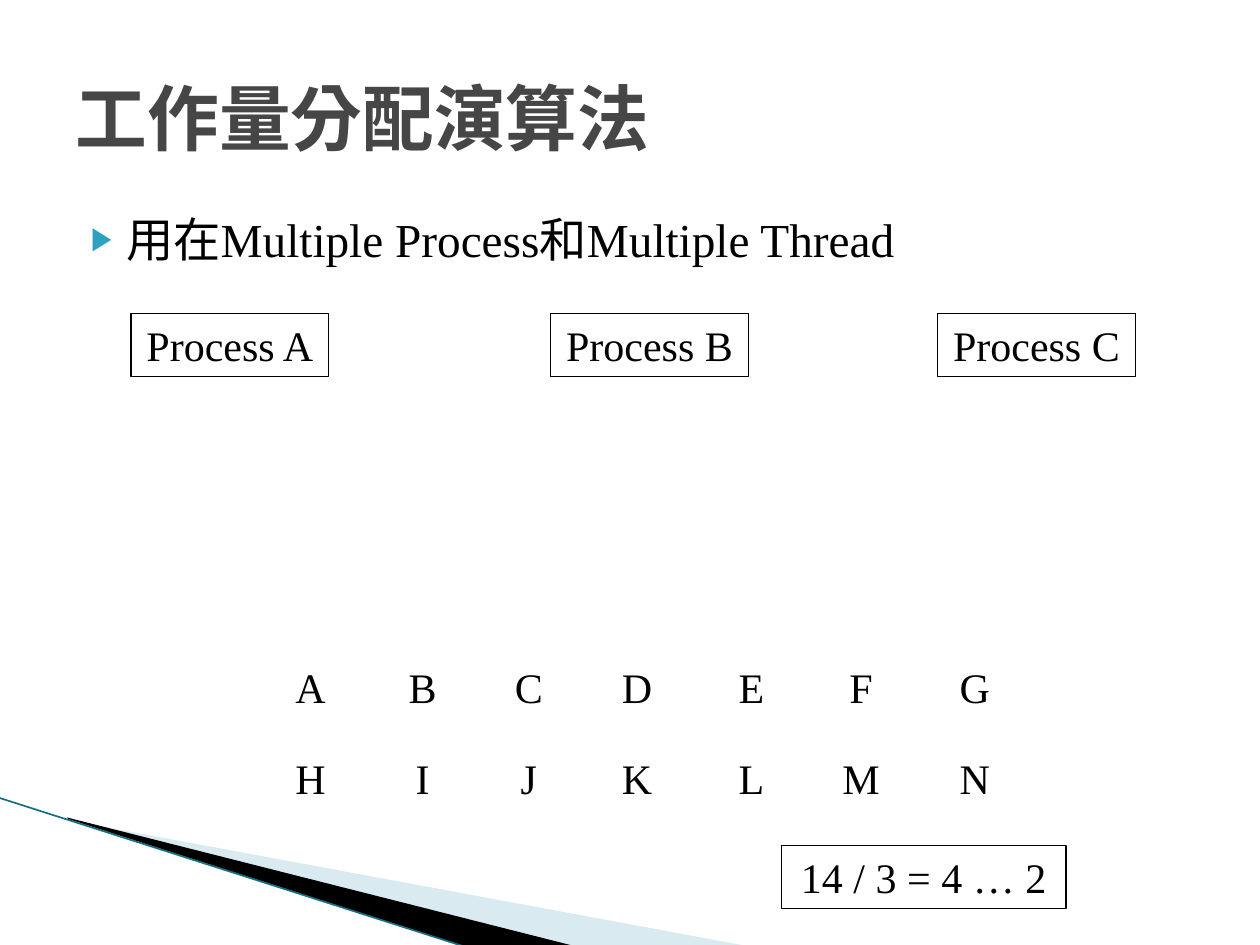
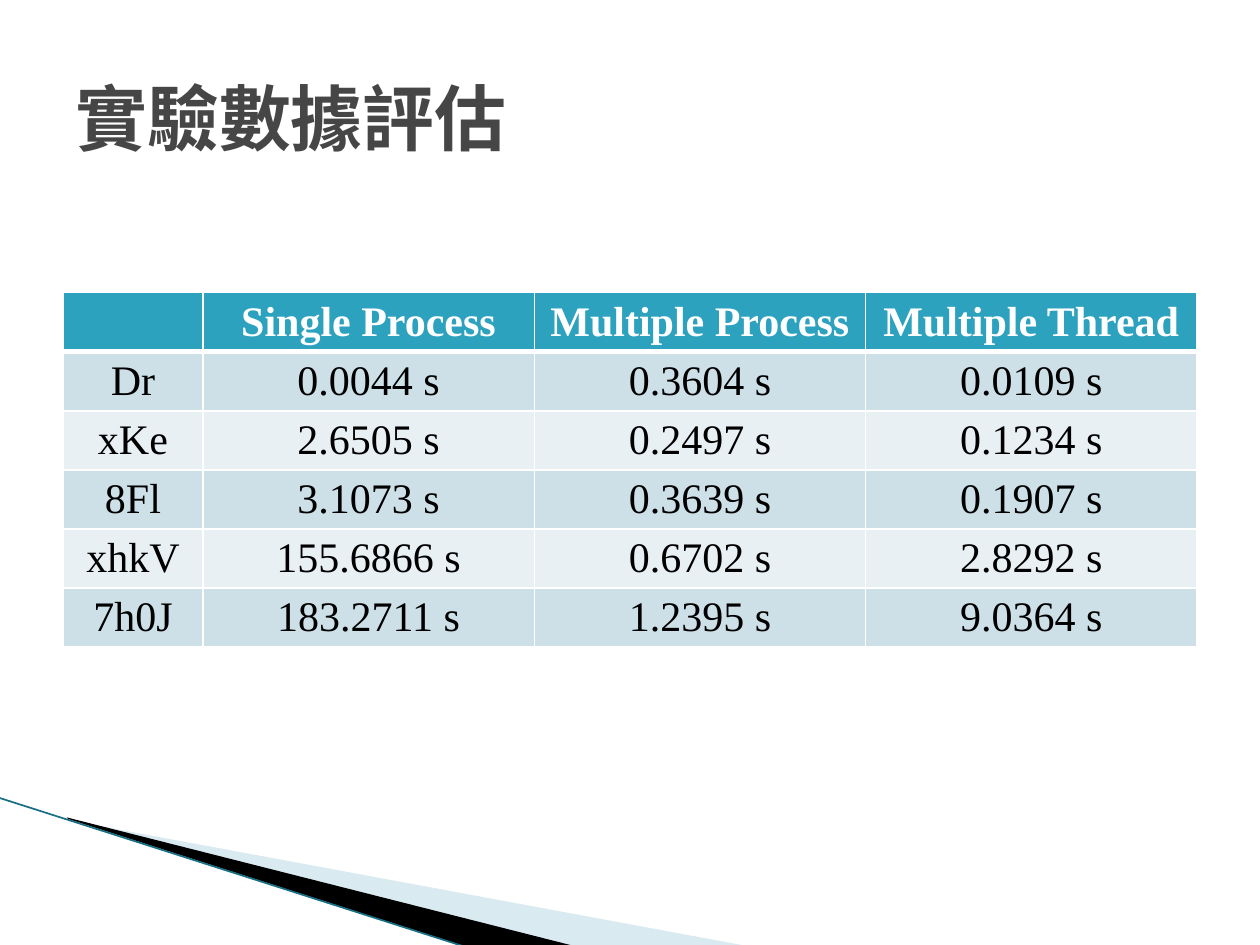
from lxml import etree
from pptx import Presentation
from pptx.dml.color import RGBColor
from pptx.enum import shapes, text
from pptx.oxml import ns
from pptx.util import Cm, Pt

# Content
TITLES = ["工作量分配演算法", "實驗數據評估"]
BULLET = "用在Multiple Process和Multiple Thread"
PROCESSES = [("Process A", 2.64), ("Process B", 11.1), ("Process C", 18.9)]
TASK_ROWS = [("ABCDEFG", 13.21), ("HIJKLMN", 15.04)]
TASK_LEFTS = [5.51, 7.77, 9.91, 12.09, 14.4, 16.61, 18.9]
DIVISION = "14 / 3 = 4 … 2"
TIMES = [
    ("", "Single Process", "Multiple Process", "Multiple Thread"),
    ("Dr", "0.0044 s", "0.3604 s", "0.0109 s"),
    ("xKe", "2.6505 s", "0.2497 s", "0.1234 s"),
    ("8Fl", "3.1073 s", "0.3639 s", "0.1907 s"),
    ("xhkV", "155.6866 s", "0.6702 s", "2.8292 s"),
    ("7h0J", "183.2711 s", "1.2395 s", "9.0364 s"),
]
COL_WIDTHS = [2.82, 6.68, 6.68, 6.68]

# Shared look
FONT = "Times New Roman"
BLACK = RGBColor(0, 0, 0)
WHITE = RGBColor(255, 255, 255)
TITLE_GREY = RGBColor(0x46, 0x46, 0x46)
TEAL = RGBColor(0x2D, 0xA2, 0xBF)
DARK_TEAL = RGBColor(0x16, 0x6E, 0x82)
PALE_BLUE = RGBColor(0xA0, 0xCB, 0xDC)
STRIPES = [RGBColor(0xE8, 0xF0, 0xF4), RGBColor(0xCD, 0xE0, 0xE8)]
TITLE_STYLE = {"size": Pt(41), "bold": True}
MARGIN, CONTENT_W, BOX_H = 1.27, 22.86, 1.27
WEDGES = [
    ([(1.4, 16.54), (15.11, 19.08), (11.58, 19.08), (1.4, 16.51)], PALE_BLUE, 40),
    ([(1.35, 16.48), (11.61, 19.08), (9.45, 19.1), (1.37, 16.51)], BLACK, 100),
]


def sub(parent, tag, **attrs):
    """Append a drawing element and return it."""
    return etree.SubElement(parent, ns.qn(tag), attrs)


def place(sp, left, top, width, height):
    """Set position and size in centimetres."""
    values = dict(left=left, top=top, width=width, height=height)
    for name, value in values.items():
        setattr(sp, name, Cm(value))


def write(tf, words, color=BLACK, align=text.PP_ALIGN.CENTER, **style):
    """Put one formatted run in a text frame and return its paragraph."""
    p = tf.paragraphs[0]
    p.alignment = align
    r = p.add_run()
    r.text = words
    r._r.get_or_add_rPr().set("lang", "zh-TW")
    for name, value in {"name": FONT, "size": Pt(24), "bold": False, **style}.items():
        setattr(r.font, name, value)
    r.font.color.rgb = color
    return p


def add_bands(prs, slide):
    """Draw the corner bands and move them to the slide master."""
    bands = []
    for points, color, alpha in WEDGES:
        points = [(Cm(x), Cm(y)) for x, y in points]
        builder = slide.shapes.build_freeform(*points[0])
        builder.add_line_segments(points[1:], close=True)
        sp = builder.convert_to_shape()
        sp.shadow.inherit = False
        sp.fill.solid()
        sp.fill.fore_color.rgb = color
        sp.line.fill.background()
        clr = sp._element.spPr.find(".//" + ns.qn("a:srgbClr"))
        sub(clr, "a:alpha", val=str(alpha * 1000))
        bands.append(sp)
    edge = slide.shapes.add_connector(
        shapes.MSO_CONNECTOR.STRAIGHT, Cm(-0.03), Cm(16.08), Cm(9.42), Cm(19.1))
    edge.line.color.rgb = DARK_TEAL
    edge.line.width = Pt(0.95)
    sub(edge._element.spPr, "a:effectLst")
    bands.append(edge)
    tree = prs.slide_master.shapes._spTree
    for i, sp in enumerate(bands):
        sp._element.xpath(".//p:cNvPr")[0].set("id", str(101 + i))
        tree.insert(2 + i, sp._element)


def add_title(slide, words):
    """Format the title placeholder."""
    title = slide.shapes.title
    place(title, MARGIN, 0.76, CONTENT_W, 3.18)
    title.text_frame.vertical_anchor = text.MSO_ANCHOR.MIDDLE
    write(title.text_frame, words, TITLE_GREY, text.PP_ALIGN.LEFT, **TITLE_STYLE)


def add_bullet(slide, words):
    """Fill the body placeholder with one bulleted line."""
    body = slide.placeholders[1]
    place(body, MARGIN, 4.11, CONTENT_W, 12.57)
    p = write(body.text_frame, words, align=text.PP_ALIGN.LEFT, size=Pt(27))
    p.space_before = Pt(4)
    pPr = p._p.get_or_add_pPr()
    pPr.set("marL", str(Cm(1.02)))
    pPr.set("indent", str(Cm(-0.71)))
    sub(sub(pPr, "a:buClr"), "a:srgbClr", val=str(TEAL))
    sub(pPr, "a:buSzPct", val="68000")
    sub(pPr, "a:buFont", typeface="Arial")
    sub(pPr, "a:buChar", char="▶")


def add_label(slide, words, left, top, width, framed=False):
    """Add a centred label, framed by a thin rectangle if asked."""
    at = Cm(left), Cm(top), Cm(width), Cm(BOX_H)
    if framed:
        sp = slide.shapes.add_shape(shapes.MSO_SHAPE.RECTANGLE, *at)
        sp.shadow.inherit = False
        sp.fill.background()
        sp.line.color.rgb = BLACK
        sp.line.width = Pt(0.75)
    else:
        sp = slide.shapes.add_textbox(*at)
    tf = sp.text_frame
    tf.word_wrap = True
    tf.auto_size = text.MSO_AUTO_SIZE.SHAPE_TO_FIT_TEXT
    tf.vertical_anchor = text.MSO_ANCHOR.TOP
    write(tf, words)


def set_borders(cell, bottom):
    """Draw white borders, with the bottom one as wide as given."""
    tcPr = cell._tc.get_or_add_tcPr()
    for i, side in enumerate("LRTB"):
        width = Pt(bottom if side == "B" else 1)
        ln = sub(tcPr, "a:ln" + side, w=str(width))
        sub(sub(ln, "a:solidFill"), "a:srgbClr", val=str(WHITE))
        tcPr.insert(i, ln)


def add_times(slide):
    """Add the table of measured times."""
    table = slide.shapes.add_table(
        len(TIMES), len(COL_WIDTHS), Cm(MARGIN), Cm(5.9),
        Cm(CONTENT_W), Cm(1.04 * len(TIMES))).table
    for col, width in zip(table.columns, COL_WIDTHS):
        col.width = Cm(width)
    for i, row in enumerate(TIMES):
        head = i == 0
        for j, words in enumerate(row):
            cell = table.cell(i, j)
            cell.vertical_anchor = text.MSO_ANCHOR.MIDDLE
            cell.fill.solid()
            cell.fill.fore_color.rgb = TEAL if head else STRIPES[i % 2]
            set_borders(cell, 3 if head else 1)
            if words:
                write(cell.text_frame, words, WHITE if head else BLACK, bold=head)


prs = Presentation()
prs.slide_width, prs.slide_height = Cm(25.4), Cm(19.05)

s = prs.slides.add_slide(prs.slide_layouts[1])
add_bands(prs, s)
add_title(s, TITLES[0])
add_bullet(s, BULLET)
for name, left in PROCESSES:
    add_label(s, name, left, 6.32, 3.99, framed=True)
for tasks, top in TASK_ROWS:
    for task, left in zip(tasks, TASK_LEFTS):
        add_label(s, task, left, top, 1.5)
add_label(s, DIVISION, 15.75, 17.04, 5.74, framed=True)

s = prs.slides.add_slide(prs.slide_layouts[5])
add_title(s, TITLES[1])
add_times(s)

prs.save("out.pptx")
